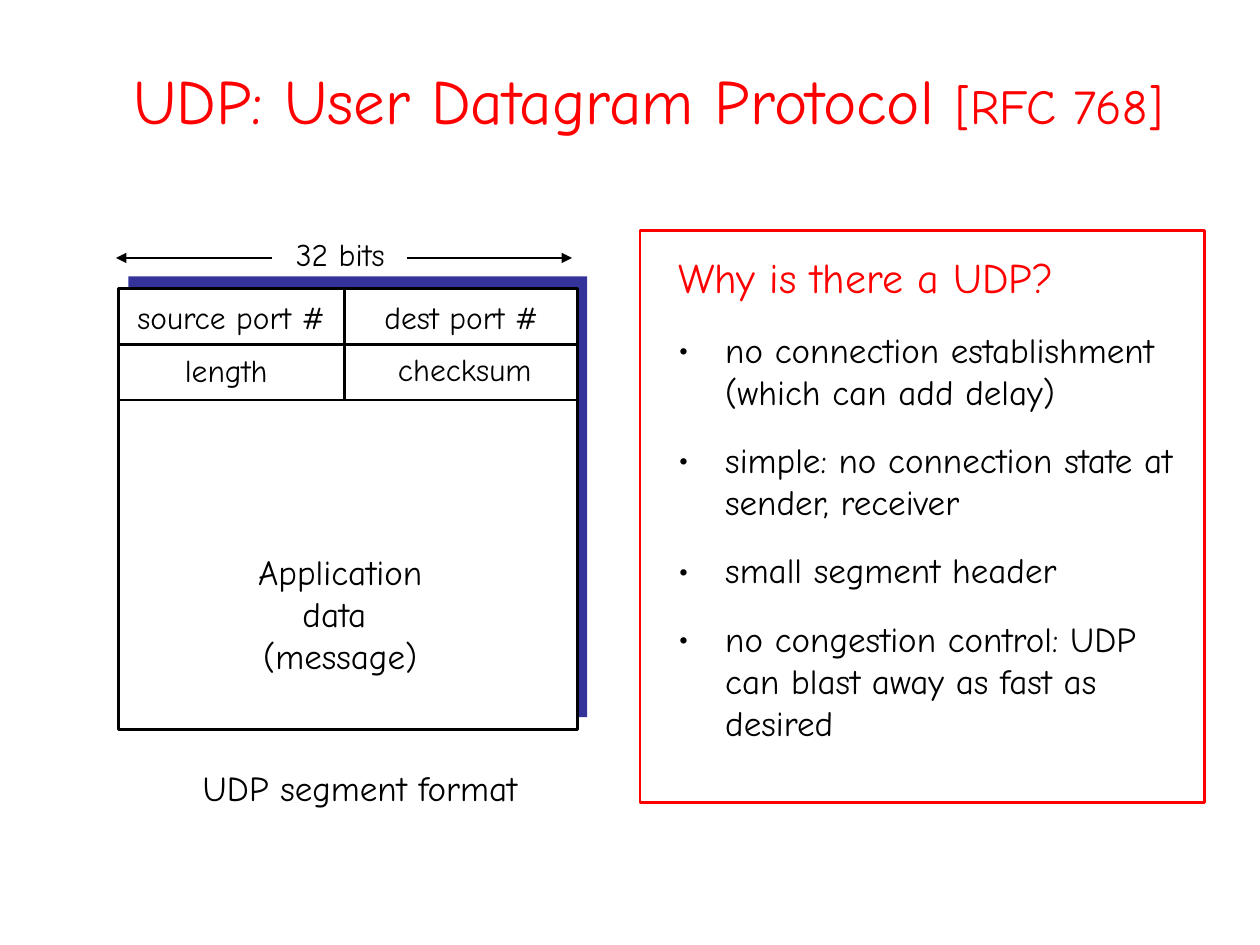
import pptx
import pptx.util
import pptx.dml.color
import pptx.enum.shapes
import pptx.enum.text
import pptx.oxml.ns
import lxml.etree

Cm = pptx.util.Cm
Pt = pptx.util.Pt
FONT = "Comic Neue"
COLOURS = {"red": "FF0000", "black": "000000", "navy": "333399", "white": "FFFFFF"}
CENTER = pptx.enum.text.PP_ALIGN.CENTER


def colour(name):
    return pptx.dml.color.RGBColor.from_string(COLOURS[name])


def child(parent, tag, **attributes):
    return lxml.etree.SubElement(parent, pptx.oxml.ns.qn(tag), attributes)


def format_run(run, size, name):
    run.font.size = Pt(size)
    run.font.name = FONT
    run.font.color.rgb = colour(name)


def add_rectangle(slide, left, top, width, height, fill=None, line=None):
    shape = slide.shapes.add_shape(
        pptx.enum.shapes.MSO_SHAPE.RECTANGLE, Cm(left), Cm(top), Cm(width), Cm(height))
    shape.shadow.inherit = False
    if fill:
        shape.fill.solid()
        shape.fill.fore_color.rgb = colour(fill)
    else:
        shape.fill.background()
    if line:
        shape.line.color.rgb = colour(line)
        shape.line.width = Pt(1.5)
    else:
        shape.line.fill.background()


def add_line(slide, start_x, start_y, end_x, end_y, arrow=False):
    connector = slide.shapes.add_connector(
        pptx.enum.shapes.MSO_CONNECTOR.STRAIGHT,
        Cm(start_x), Cm(start_y), Cm(end_x), Cm(end_y))
    connector.line.color.rgb = colour("black")
    connector.line.width = Pt(1.5)
    if arrow:
        child(connector.line._get_or_add_ln(), "a:tailEnd", type="triangle")
    child(connector._element.spPr, "a:effectLst")


def add_label(slide, center, top, width, height, text, size):
    box = slide.shapes.add_textbox(Cm(center - width / 2), Cm(top), Cm(width), Cm(height))
    box.text_frame.word_wrap = False
    box.text_frame.auto_size = pptx.enum.text.MSO_AUTO_SIZE.SHAPE_TO_FIT_TEXT
    box.text_frame.text = text
    for paragraph in box.text_frame.paragraphs:
        paragraph.alignment = CENTER
        format_run(paragraph.runs[0], size, "black")


def add_title(slide, left, top, width, height):
    box = slide.shapes.add_textbox(Cm(left), Cm(top), Cm(width), Cm(height))
    frame = box.text_frame
    frame.word_wrap = True
    frame.vertical_anchor = pptx.enum.text.MSO_ANCHOR.MIDDLE
    paragraph = frame.paragraphs[0]
    paragraph.alignment = CENTER
    for text, size in (("UDP: User Datagram Protocol ", 36), ("[RFC 768]", 28)):
        run = paragraph.add_run()
        run.text = text
        format_run(run, size, "red")


def add_segment_diagram(slide, left, top, width, height):
    row = 1.12
    divider = left + 4.55
    add_rectangle(slide, left + 0.2, top - 0.25, width, height, fill="navy")
    add_rectangle(slide, left, top, width, height, fill="white", line="black")
    for index in (1, 2):
        line_y = top + index * row
        add_line(slide, left, line_y, left + width, line_y)
    add_line(slide, divider, top, divider, top + 2 * row)

    arrow_y = top - 0.62
    add_line(slide, left + 3.1, arrow_y, left - 0.05, arrow_y, arrow=True)
    add_line(slide, left + 5.81, arrow_y, left + 9.14, arrow_y, arrow=True)

    labels = [
        (4.47, -1.2, 2.6, 1.02, "32 bits", 18),
        (2.27, 0.07, 4.4, 1.02, "source port #", 18),
        (6.91, 0.07, 3.8, 1.02, "dest port #", 18),
        (2.17, 1.14, 2.5, 1.02, "length", 18),
        (6.98, 1.12, 3.4, 1.02, "checksum", 18),
        (4.47, 5.15, 4, 2.79, "Application\ndata \n(message)", 20),
        (4.87, 9.5, 7, 1.12, "UDP segment format", 20),
    ]
    for center, offset, label_width, label_height, text, size in labels:
        add_label(slide, left + center, top + offset, label_width, label_height, text, size)


def add_reasons(slide, left, top, width, height):
    reasons = [
        "no connection establishment (which can add delay)",
        "simple: no connection state at sender, receiver",
        "small segment header",
        "no congestion control: UDP can blast away as fast as desired",
    ]
    box = slide.shapes.add_textbox(
        Cm(left + 0.52), Cm(top + 0.3), Cm(width - 0.8), Cm(height - 0.9))
    frame = box.text_frame
    frame.word_wrap = True
    frame.text = "\n".join(["Why is there a UDP?"] + reasons)
    for index, paragraph in enumerate(frame.paragraphs):
        paragraph.space_after = Pt(3)
        if index == 0:
            format_run(paragraph.runs[0], 24, "red")
            continue
        paragraph.space_before = Pt(12)
        properties = paragraph._p.get_or_add_pPr()
        properties.set("marL", str(Cm(0.95)))
        properties.set("indent", str(-Cm(0.95)))
        child(child(properties, "a:buClr"), "a:srgbClr", val=COLOURS["black"])
        child(properties, "a:buFont", typeface=FONT)
        child(properties, "a:buChar", char="•")
        format_run(paragraph.runs[0], 20, "black")
    add_rectangle(slide, left, top, width, height, line="red")


def main():
    presentation = pptx.Presentation()
    presentation.slide_width = Cm(25.4)
    presentation.slide_height = Cm(19.05)
    slide = presentation.slides.add_slide(presentation.slide_layouts[6])
    add_title(slide, 1.49, 0.64, 23.16, 2.74)
    add_reasons(slide, 12.9, 4.65, 11.38, 11.53)
    add_segment_diagram(slide, 2.39, 5.82, 9.25, 8.89)
    presentation.save("out.pptx")


if __name__ == "__main__":
    main()
